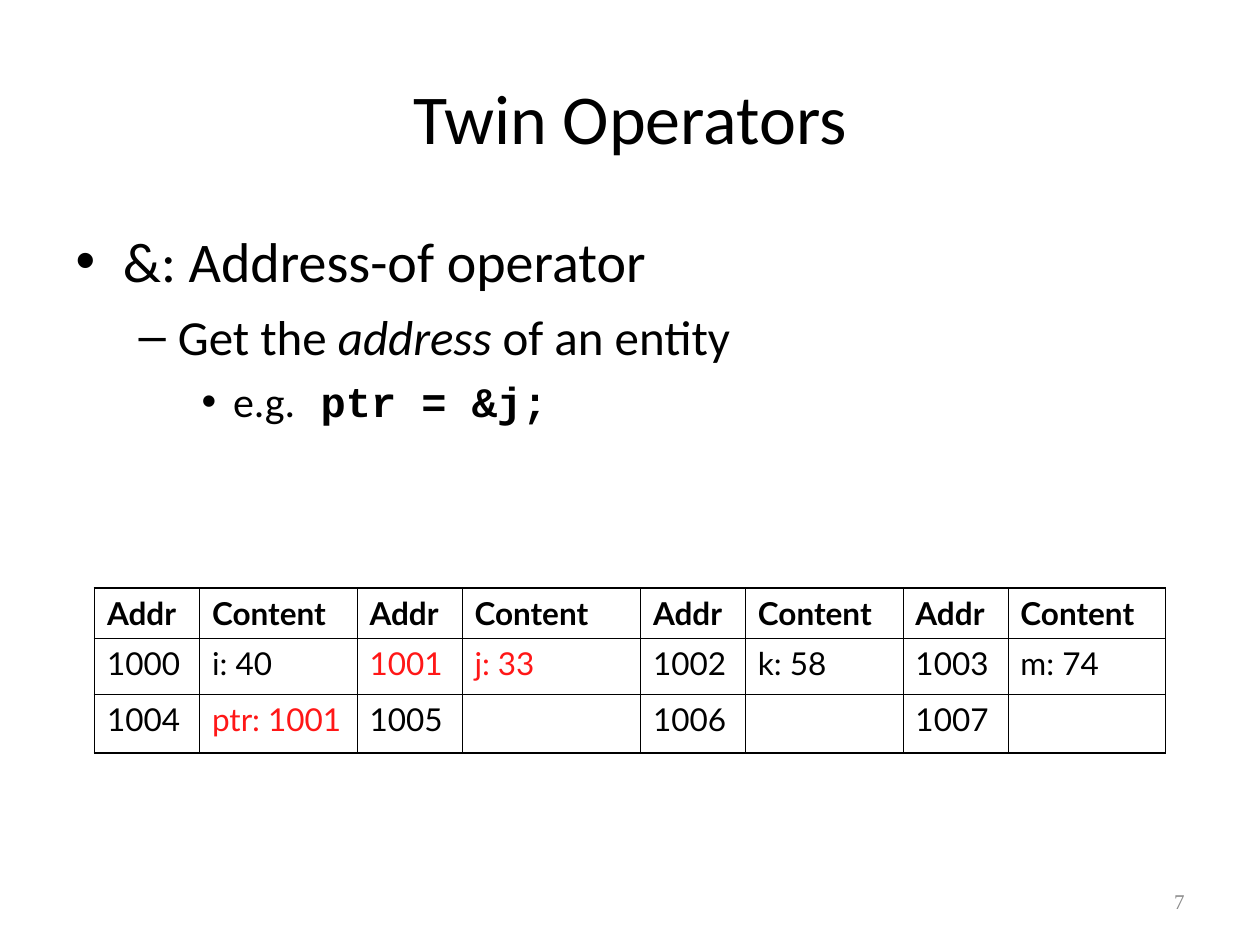
from lxml import etree
from pptx import Presentation
from pptx.dml.color import RGBColor
from pptx.enum import text
from pptx.oxml import ns
from pptx.util import Pt

BLACK, RED, GREY = "000000", "FF1717", "898989"


def rgb(value):
    return RGBColor.from_string(value)


def add_run(p, content, font="Calibri", size=18, color=BLACK, bold=False, italic=False):
    r = p.add_run()
    r.text = content
    r.font.name, r.font.size = font, Pt(size)
    r.font.bold, r.font.italic = bold, italic
    r.font.color.rgb = rgb(color)
    return r


class Deck:
    thin, thick = 0.45, 1.08

    def __init__(self):
        self.prs = Presentation()
        self.prs.slide_width, self.prs.slide_height = Pt(720), Pt(540)
        self.s = self.prs.slides.add_slide(self.prs.slide_layouts[1])

    def place(self, sp, box):
        sp.left, sp.top, sp.width, sp.height = map(Pt, box)
        return sp.text_frame

    def title(self, content, box):
        tf = self.place(self.s.shapes.title, box)
        tf.vertical_anchor = text.MSO_ANCHOR.MIDDLE
        p = tf.paragraphs[0]
        p.alignment = text.PP_ALIGN.CENTER
        add_run(p, content, size=40)

    def body(self, items, box):
        tf = self.place(self.s.placeholders[1], box)
        for level, (size, before, runs) in enumerate(items):
            p = tf.add_paragraph() if level else tf.paragraphs[0]
            p.level = level
            p.space_before = Pt(before)
            for content, style in runs:
                add_run(p, content, size=size, **style)

    def page_number(self, content, box):
        tf = self.s.shapes.add_textbox(*map(Pt, box)).text_frame
        tf.word_wrap = True
        tf.vertical_anchor = text.MSO_ANCHOR.MIDDLE
        p = tf.paragraphs[0]
        p.alignment = text.PP_ALIGN.RIGHT
        add_run(p, content, font="Times New Roman", size=12, color=GREY)

    def border(self, cell, side, width):
        tc_pr = cell._tc.get_or_add_tcPr()
        ln = etree.SubElement(tc_pr, ns.qn(f"a:ln{side}"), w=str(Pt(width)))
        fill = etree.SubElement(ln, ns.qn("a:solidFill"))
        etree.SubElement(fill, ns.qn("a:srgbClr"), val=BLACK)

    def table(self, rows, left, top, widths, heights, marked):
        last_row, last_col = len(heights) - 1, len(widths) - 1
        table = self.s.shapes.add_table(
            len(heights), len(widths), Pt(left), Pt(top), Pt(sum(widths)), Pt(sum(heights))
        ).table
        table.first_row = table.horz_banding = False
        for column, width in zip(table.columns, widths):
            column.width = Pt(width)
        for row, height in zip(table.rows, heights):
            row.height = Pt(height)
        for i, row in enumerate(rows):
            for j, content in enumerate(row):
                cell = table.cell(i, j)
                heavy = {"L": j == 0, "R": j == last_col, "T": i < 2, "B": i in (0, last_row)}
                for side, is_heavy in heavy.items():
                    self.border(cell, side, self.thick if is_heavy else self.thin)
                cell.fill.background()
                if content:
                    color = RED if content in marked else BLACK
                    add_run(cell.text_frame.paragraphs[0], content, font="Lato",
                            color=color, bold=i == 0)


def main():
    deck = Deck()
    deck.title("Twin Operators", (36, 21.6, 648, 90))
    deck.body([
        (32, 0, [("&: Address-of operator", {})]),
        (28, 7, [("Get the ", {}), ("address", {"italic": True}), (" of an entity", {})]),
        (24, 6, [("e.g.", {}), (" ptr = &j;", {"font": "Courier New", "bold": True})]),
    ], (36, 126, 648, 356.4))
    deck.page_number("7", (516, 500.4, 168, 28.8))
    rows = [
        ["Addr", "Content"] * 4,
        ["1000", "i: 40", "1001", "j: 33", "1002", "k: 58", "1003", "m: 74"],
        ["1004", "ptr: 1001", "1005", "", "1006", "", "1007", ""],
    ]
    widths = [60, 90, 60, 102, 60, 90, 60, 90]
    deck.table(rows, 54, 336, widths, [28.8, 32, 33.7], {"1001", "j: 33", "ptr: 1001"})
    deck.prs.save("out.pptx")


if __name__ == "__main__":
    main()
